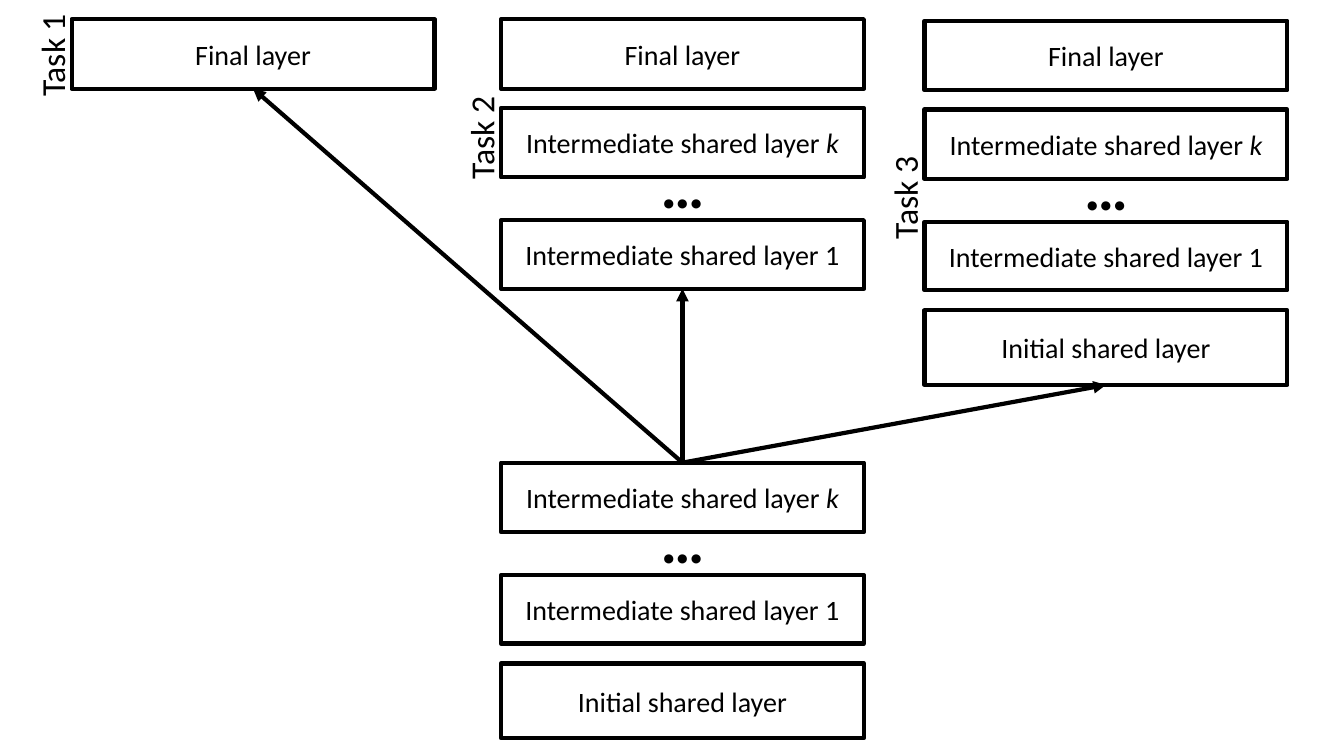
from pptx import Presentation
from pptx import util as u
from pptx.dml.color import RGBColor
from pptx.enum import shapes, text
from lxml import etree

COLORS = {"ink": "000000", "paper": "FFFFFF"}
INK = RGBColor.from_string(COLORS["ink"])
PAPER = RGBColor.from_string(COLORS["paper"])

deck = Presentation()
deck.slide_width = u.Inches(13.33)
deck.slide_height = u.Inches(7.5)
slide = deck.slides.add_slide(deck.slide_layouts[6])


def place(left, top, width, height):
    across, down = deck.slide_width / 100, deck.slide_height / 100
    return [round(v) for v in (left * across, top * down, width * across, height * down)]


def write(frame, pieces, size, bold=None):
    paragraph = frame.paragraphs[0]
    paragraph.alignment = text.PP_ALIGN.CENTER
    for wording, italic in pieces:
        run = paragraph.add_run()
        run.text = wording
        run.font.name = "Calibri"
        run.font.size = u.Pt(size)
        run.font.bold = bold
        run.font.italic = italic
        run.font.color.rgb = INK


LAYER_WIDTH = 27
DOTS_WIDTH = 4.8
LAYERS = {
    "final": (0, 9.2, [("Final layer", None)]),
    "k": (11.73, 9.2, [("Intermediate shared layer ", None), ("k", True)]),
    "1": (26.6, 9.07, [("Intermediate shared layer 1", None)]),
    "initial": (38.3, 9.87, [("Initial shared layer", None)]),
}
STACKS = {
    "Shared": (37.28, 49.47, ["initial", "1", "k"], None),
    "Task 1": (5.33, 2.53, ["final"], 4),
    "Task 2": (37.28, 2.53, ["1", "k", "final"], 14.93),
    "Task 3": (68.79, 2.75, ["initial", "1", "k", "final"], 22.8),
}

boxes = {}
for stack, (left, top, layers, label_top) in STACKS.items():
    for layer in layers:
        offset, height, pieces = LAYERS[layer]
        box = slide.shapes.add_shape(
            shapes.MSO_SHAPE.RECTANGLE, *place(left, top + offset, LAYER_WIDTH, height))
        box.shadow.inherit = False
        box.fill.solid()
        box.fill.fore_color.rgb = PAPER
        box.line.color.rgb = INK
        box.line.width = u.Pt(3)
        box.text_frame.vertical_anchor = text.MSO_ANCHOR.MIDDLE
        box.text_frame.word_wrap = True
        write(box.text_frame, pieces, 20)
        boxes[stack, layer] = box

    if "k" in layers:
        dots = slide.shapes.add_textbox(
            *place(left + (LAYER_WIDTH - DOTS_WIDTH) / 2, top + 16.3, DOTS_WIDTH, 11.2))
        dots.text_frame.word_wrap = False
        dots.text_frame.auto_size = text.MSO_AUTO_SIZE.SHAPE_TO_FIT_TEXT
        write(dots.text_frame, [("…", None)], 44, True)

    if label_top is not None:
        label = slide.shapes.add_textbox(*place(left - 5.65, label_top, 8.33, 6.67))
        label.rotation = 270
        label.text_frame.word_wrap = True
        label.text_frame.auto_size = text.MSO_AUTO_SIZE.SHAPE_TO_FIT_TEXT
        write(label.text_frame, [(stack, None)], 24)

for target in [("Task 3", "initial"), ("Task 2", "1"), ("Task 1", "final")]:
    arrow = slide.shapes.add_connector(shapes.MSO_CONNECTOR.STRAIGHT, 0, 0, 0, 0)
    arrow.begin_connect(boxes["Shared", "k"], 0)
    arrow.end_connect(boxes[target], 2)
    arrow.line.color.rgb = INK
    arrow.line.width = u.Pt(3)
    drawing = "{http://schemas.openxmlformats.org/drawingml/2006/main}"
    etree.SubElement(arrow.line._get_or_add_ln(), drawing + "tailEnd", type="triangle")
    etree.SubElement(arrow._element.spPr, drawing + "effectLst")

deck.save("out.pptx")
